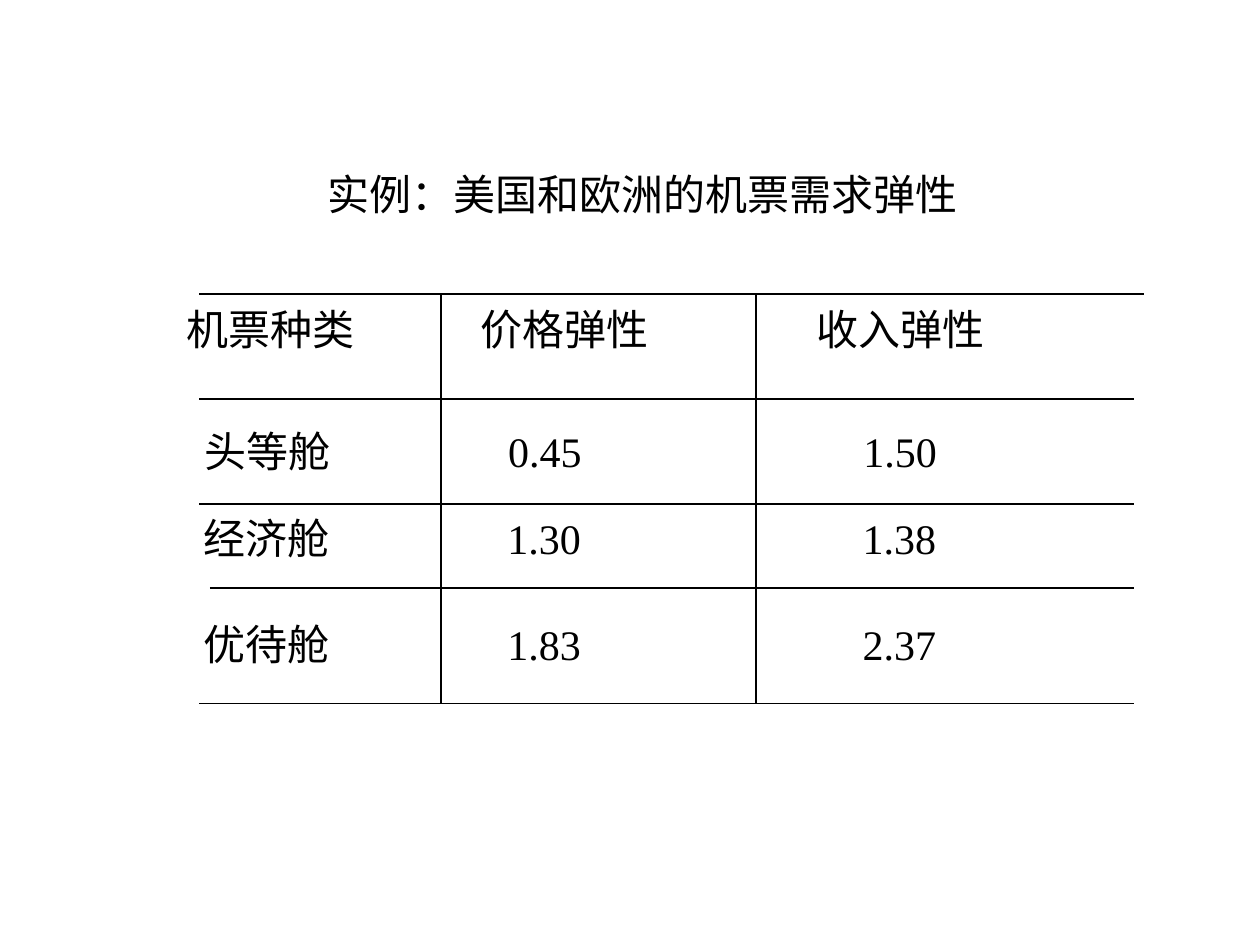
import pptx
import pptx.util
import pptx.dml.color
import pptx.enum.shapes
import pptx.enum.text
import pptx.oxml.ns
from lxml import etree

Pt = pptx.util.Pt
COLORS = {"ink": "000000"}
FONT = "Times New Roman"

TITLE = "实例：美国和欧洲的机票需求弹性"
HEAD = ("机票种类", "价格弹性", "收入弹性")
# left, top, cells
ROWS = [
    (109.8, 239.8, ("头等舱", "0.45", "1.50")),
    (109.4, 289.6, ("经济舱", "1.30", "1.38")),
    (109.4, 350, ("优待舱", "1.83", "2.37")),
]
# left, right, height on the slide
RULES = [
    (114, 654, 168),
    (114, 648, 228),
    (114, 648, 288),
    (120, 648, 336),
    (114, 648, 402),
]
COLS = (252, 432)


def ink(name):
    return pptx.dml.color.RGBColor.from_string(COLORS[name])


def add_line(slide, x1, y1, x2, y2, color="ink", width=0.75):
    line = slide.shapes.add_connector(
        pptx.enum.shapes.MSO_CONNECTOR.STRAIGHT, Pt(x1), Pt(y1), Pt(x2), Pt(y2))
    line.line.color.rgb = ink(color)
    line.line.width = Pt(width)
    etree.SubElement(line._element.spPr, pptx.oxml.ns.qn("a:effectLst"))


def set_tabs(para, stops):
    tabs = etree.SubElement(
        para._p.get_or_add_pPr(), pptx.oxml.ns.qn("a:tabLst"))
    for stop in stops:
        tab = etree.SubElement(tabs, pptx.oxml.ns.qn("a:tab"))
        tab.set("pos", str(Pt(stop)))
        tab.set("algn", "l")


def add_text(slide, text, x, y, w, h=36, size=24, color="ink",
             indent=0, stops=()):
    box = slide.shapes.add_textbox(Pt(x), Pt(y), Pt(w), Pt(h))
    frame = box.text_frame
    frame.word_wrap = True
    frame.auto_size = pptx.enum.text.MSO_AUTO_SIZE.SHAPE_TO_FIT_TEXT
    para = frame.paragraphs[0]
    if indent:
        para._p.get_or_add_pPr().set("marL", str(Pt(indent)))
    if stops:
        set_tabs(para, stops)
    run = para.add_run()
    run.text = text
    run.font.size = Pt(size)
    run.font.name = FONT
    run.font.color.rgb = ink(color)


def add_row(slide, cells, x, y, w, stops):
    """Write one row of the grid, its cells set apart by tab stops."""
    add_text(slide, "\t".join(cells), x, y, w, stops=stops)


def main():
    deck = pptx.Presentation()
    deck.slide_width, deck.slide_height = Pt(720), Pt(540)
    slide = deck.slides.add_slide(deck.slide_layouts[6])

    for left, right, y in RULES:
        add_line(slide, left, y, right, y)
    for x in COLS:
        add_line(slide, x, RULES[0][2], x, RULES[-1][2])

    add_text(slide, TITLE, 156, 92.9, 404, indent=24)
    add_row(slide, HEAD, 99.4, 170, 476, (168, 360))
    for x, y, cells in ROWS:
        add_row(slide, cells, x, y, 436, (173.5, 376.5))

    deck.save("out.pptx")


if __name__ == "__main__":
    main()
